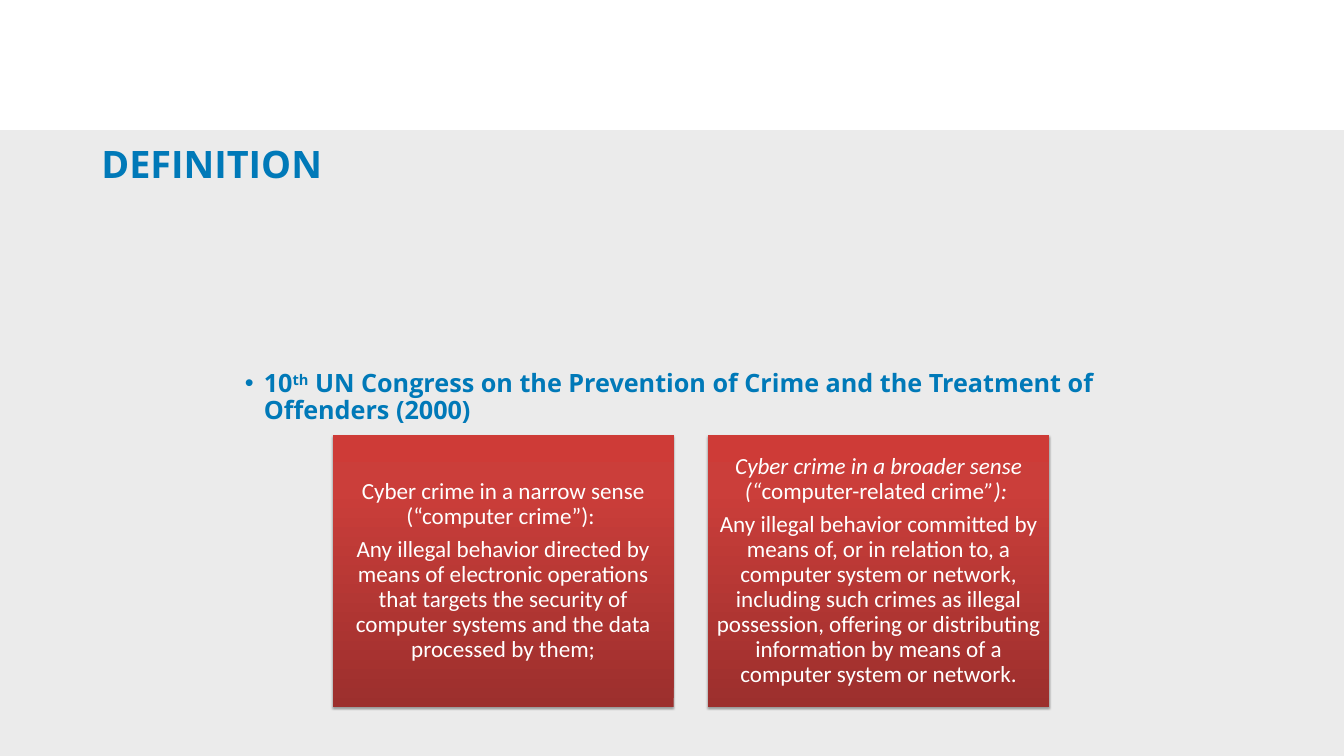
import copy

import pptx
import pptx.dml.color
import pptx.enum.shapes
import pptx.enum.text
import pptx.oxml
import pptx.oxml.ns
import pptx.util

Inches = pptx.util.Inches
Pt = pptx.util.Pt
RGBColor = pptx.dml.color.RGBColor
Align = pptx.enum.text.PP_ALIGN
Anchor = pptx.enum.text.MSO_ANCHOR
qn = pptx.oxml.ns.qn

BLUE = RGBColor(0x00, 0x79, 0xB8)
WHITE = RGBColor(0xFF, 0xFF, 0xFF)
PANEL_GREY = RGBColor(0xEB, 0xEB, 0xEB)
RED_STOPS = [
    (0, RGBColor(0x9C, 0x2F, 0x2D)),
    (0.8, RGBColor(0xCB, 0x3E, 0x3A)),
    (1, RGBColor(0xCE, 0x3B, 0x37)),
]

CARD_LEFT, CARD_TOP = 6.6, 8.63
CARD_WIDTH, CARD_HEIGHT = 6.77, 5.4
CARD_GAP = 0.68

NARROW_SENSE = [
    [("Cyber crime in a narrow sense (“computer crime”): ", False)],
    [("Any illegal behavior directed by means of electronic operations that targets "
      "the security of computer systems and the data processed by them;", False)],
]
BROADER_SENSE = [
    [("Cyber crime in a broader sense (“", True),
     ("computer-related crime", False),
     ("”): ", True)],
    [("Any illegal behavior committed by means of, or in relation to, a computer system "
      "or network, including such crimes as illegal possession, offering or distributing "
      "information by means of a computer system or network.", False)],
]


def format_run(run, name, size, color, bold=False, italic=False):
    font = run.font
    font.name = name
    font.size = Pt(size)
    font.color.rgb = color
    font.bold = bold
    font.italic = italic


def set_margins(text_frame, horizontal, vertical):
    text_frame.margin_left = text_frame.margin_right = Inches(horizontal)
    text_frame.margin_top = text_frame.margin_bottom = Inches(vertical)


def add_rectangle(slide, left, top, width, height):
    shape = slide.shapes.add_shape(
        pptx.enum.shapes.MSO_SHAPE.RECTANGLE,
        Inches(left), Inches(top), Inches(width), Inches(height))
    shape.shadow.inherit = False
    shape.line.fill.background()
    return shape


def add_panel(slide):
    panel = add_rectangle(slide, 0, 2.58, 26.67, 12.42)
    panel.fill.solid()
    panel.fill.fore_color.rgb = PANEL_GREY
    panel._element.getparent().insert(2, panel._element)


def fill_placeholder(placeholder, left, top, width, height, texts, size):
    placeholder.left, placeholder.top = Inches(left), Inches(top)
    placeholder.width, placeholder.height = Inches(width), Inches(height)
    text_frame = placeholder.text_frame
    text_frame.auto_size = pptx.enum.text.MSO_AUTO_SIZE.NONE
    text_frame.word_wrap = True
    paragraph = text_frame.paragraphs[0]
    paragraph.alignment = Align.LEFT
    for text in texts:
        run = paragraph.add_run()
        run.text = text
        format_run(run, "Open Sans", size, BLUE, bold=True)
    return text_frame


def add_title(slide):
    text_frame = fill_placeholder(
        slide.shapes.title, 1.96, 2.74, 6.01, 1.01, ["DEFINITION"], 54)
    set_margins(text_frame, 0.05, 0)
    text_frame.vertical_anchor = Anchor.MIDDLE


def add_source_line(slide):
    text_frame = fill_placeholder(
        slide.placeholders[1], 4.81, 7.31, 18.26, 1.31,
        ["10", "th",
         " UN Congress on the Prevention of Crime and the Treatment of Offenders (2000)"],
        36)
    set_margins(text_frame, 0.05, 0.05)
    text_frame.vertical_anchor = Anchor.TOP
    paragraph = text_frame.paragraphs[0]
    paragraph.line_spacing = 0.9
    paragraph.font.color.rgb = BLUE
    paragraph.runs[1].font._element.set("baseline", "30000")


def apply_red_gradient(shape):
    shape.fill.gradient()
    shape.fill.gradient_angle = 90
    stop_list = shape._element.spPr.find(".//" + qn("a:gsLst"))
    stop_list.append(copy.deepcopy(stop_list[-1]))
    for stop, (position, color) in zip(shape.fill.gradient_stops, RED_STOPS):
        stop.position = position
        stop.color.rgb = color


def apply_soft_shadow(shape):
    effects = shape._element.spPr.find(qn("a:effectLst"))
    effects.append(pptx.oxml.parse_xml(
        f'<a:outerShdw {pptx.oxml.ns.nsdecls("a")} blurRad="{Pt(3.1)}" '
        f'dist="{Pt(1.8)}" dir="5400000" rotWithShape="0">'
        '<a:srgbClr val="000000"><a:alpha val="35000"/></a:srgbClr></a:outerShdw>'))


def add_definition_card(slide, left, paragraphs):
    card = add_rectangle(slide, left, CARD_TOP, CARD_WIDTH, CARD_HEIGHT)
    apply_red_gradient(card)
    apply_soft_shadow(card)
    text_frame = card.text_frame
    text_frame.word_wrap = True
    text_frame.vertical_anchor = Anchor.MIDDLE
    set_margins(text_frame, 0.14, 0.14)
    for index, pieces in enumerate(paragraphs):
        paragraph = text_frame.add_paragraph() if index else text_frame.paragraphs[0]
        paragraph.alignment = Align.CENTER
        paragraph.line_spacing = 0.9
        paragraph.space_after = Pt(11.5)
        for text, italic in pieces:
            run = paragraph.add_run()
            run.text = text
            format_run(run, "Calibri", 33, WHITE, italic=italic)


def main():
    presentation = pptx.Presentation()
    presentation.slide_width = Inches(26.67)
    presentation.slide_height = Inches(15)
    slide = presentation.slides.add_slide(presentation.slide_layouts[1])
    add_panel(slide)
    add_title(slide)
    add_source_line(slide)
    for column, paragraphs in enumerate([NARROW_SENSE, BROADER_SENSE]):
        add_definition_card(
            slide, CARD_LEFT + column * (CARD_WIDTH + CARD_GAP), paragraphs)
    presentation.save("out.pptx")


if __name__ == "__main__":
    main()
